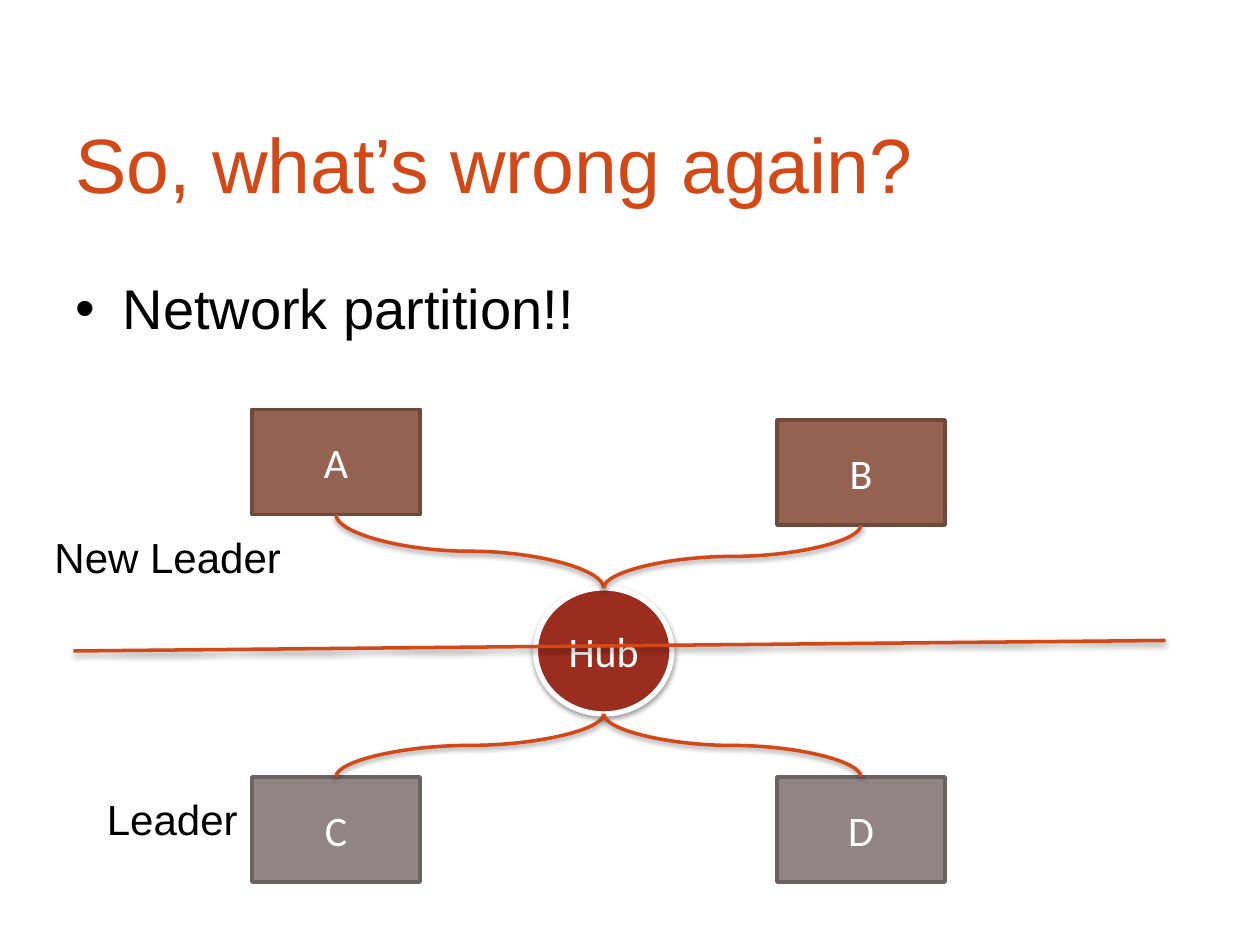
from dataclasses import dataclass

from lxml.etree import SubElement
from pptx import Presentation
from pptx.dml.color import RGBColor
from pptx.enum.shapes import MSO_CONNECTOR, MSO_SHAPE
from pptx.enum.text import MSO_ANCHOR, MSO_AUTO_SIZE, PP_ALIGN
from pptx.oxml.ns import qn
from pptx.util import Emu, Pt

EMU_PER_PX = 9525  # 96 px to the inch


def px(length):
    return Emu(round(length * EMU_PER_PX))


@dataclass(frozen=True)
class Theme:
    accent: str = "D34817"
    ink: str = "000000"
    paper: str = "FFFFFF"
    upper_node: tuple = ("956251", "6E493C")
    lower_node: tuple = ("918485", "6B6262")
    hub: tuple = ("9B2D1F", "FFFFFF")
    text_font: str = "Arial"
    node_font: str = "Calibri"
    title_size: int = 44
    body_size: int = 32
    label_size: int = 24
    line_width: int = 2
    hub_line_width: int = 3


class SlideBuilder:
    def __init__(self, slide, theme):
        self.slide = slide
        self.theme = theme

    def style_font(self, paragraph, size, color, name):
        font = paragraph.font
        font.size, font.name = Pt(size), name
        font.color.rgb = RGBColor.from_string(color)

    def add_shadow(self, effects):
        shadow = SubElement(effects, qn("a:outerShdw"), blurRad="40000", dist="20000",
                            dir="5400000", rotWithShape="0")
        color = SubElement(shadow, qn("a:srgbClr"), val=self.theme.ink)
        SubElement(color, qn("a:alpha"), val="38000")

    def title(self, text, left, top, width, height):
        shape = self.slide.shapes.title
        shape.left, shape.top, shape.width, shape.height = map(px, (left, top, width, height))
        frame = shape.text_frame
        frame.text = text
        frame.vertical_anchor = MSO_ANCHOR.MIDDLE
        paragraph = frame.paragraphs[0]
        paragraph.alignment = PP_ALIGN.LEFT
        self.style_font(paragraph, self.theme.title_size, self.theme.accent, self.theme.text_font)

    def text_box(self, text, left, top, width, height, size):
        shape = self.slide.shapes.add_textbox(*map(px, (left, top, width, height)))
        frame = shape.text_frame
        frame.text = text
        self.style_font(frame.paragraphs[0], size, self.theme.ink, self.theme.text_font)
        return frame

    def bullet(self, text, left, top, width, height):
        frame = self.text_box(text, left, top, width, height, self.theme.body_size)
        frame.word_wrap = True
        paragraph = frame.paragraphs[0]
        paragraph.space_before = Pt(0.2 * self.theme.body_size)
        properties = paragraph._p.get_or_add_pPr()
        properties.set("marL", str(px(36)))
        properties.set("indent", str(px(-36)))
        SubElement(properties, qn("a:buFont"), typeface=self.theme.text_font)
        SubElement(properties, qn("a:buChar"), char="•")

    def label(self, text, left, top, width, height):
        frame = self.text_box(text, left, top, width, height, self.theme.label_size)
        frame.word_wrap = False
        frame.auto_size = MSO_AUTO_SIZE.SHAPE_TO_FIT_TEXT

    def node(self, text, left, top, width, height, colors, kind=MSO_SHAPE.RECTANGLE,
             line_width=None, shadow=False):
        shape = self.slide.shapes.add_shape(kind, *map(px, (left, top, width, height)))
        fill, outline = colors
        shape.fill.solid()
        shape.fill.fore_color.rgb = RGBColor.from_string(fill)
        shape.line.color.rgb = RGBColor.from_string(outline)
        shape.line.width = Pt(line_width or self.theme.line_width)
        shape.shadow.inherit = False
        if shadow:
            self.add_shadow(shape._element.spPr.find(qn("a:effectLst")))
        frame = shape.text_frame
        frame.text = text
        frame.vertical_anchor = MSO_ANCHOR.MIDDLE
        paragraph = frame.paragraphs[0]
        paragraph.alignment = PP_ALIGN.CENTER
        self.style_font(paragraph, self.theme.label_size, self.theme.paper, self.theme.node_font)

    def line(self, start, end, kind=MSO_CONNECTOR.STRAIGHT):
        connector = self.slide.shapes.add_connector(kind, *map(px, (*start, *end)))
        connector.line.color.rgb = RGBColor.from_string(self.theme.accent)
        connector.line.width = Pt(self.theme.line_width)
        self.add_shadow(SubElement(connector._element.spPr, qn("a:effectLst")))
        return connector

    def curve(self, start, end):
        """Left-to-right curve leaving and arriving vertically: a turned S-connector."""
        (x1, y1), (x2, y2) = start, end
        center_x, center_y = (x1 + x2) / 2, (y1 + y2) / 2
        half_width = abs(y2 - y1) / 2
        falls = y2 > y1
        half_height = (x2 - x1) / 2 * (-1 if falls else 1)
        connector = self.line((center_x + half_width, center_y + half_height),
                              (center_x - half_width, center_y - half_height),
                              MSO_CONNECTOR.CURVE)
        frame = connector._element.spPr.find(qn("a:xfrm"))
        frame.set("rot", str((270 if falls else 90) * 60000))


def main():
    theme = Theme()
    presentation = Presentation()
    presentation.slide_width, presentation.slide_height = px(960), px(720)
    builder = SlideBuilder(presentation.slides.add_slide(presentation.slide_layouts[5]), theme)

    # Title and bullet
    builder.title("So, what’s wrong again?", 48, 64, 864, 120)
    builder.bullet("Network partition!!", 48, 204, 864, 459)

    # Network nodes
    node_width, node_height = 128, 80
    left_column, right_column, lower_row = 192, 592, 592
    a_top, b_top = 312, 320
    for name, left, top, colors in (
        ("A", left_column, a_top, theme.upper_node),
        ("D", right_column, lower_row, theme.lower_node),
        ("B", right_column, b_top, theme.upper_node),
        ("C", left_column, lower_row, theme.lower_node),
    ):
        builder.node(name, left, top, node_width, node_height, colors)

    # Hub
    hub_left, hub_top, hub_width, hub_height = 408, 448, 104, 96
    builder.node("Hub", hub_left, hub_top, hub_width, hub_height, theme.hub,
                 MSO_SHAPE.OVAL, theme.hub_line_width, shadow=True)

    # Links between the hub and the nodes
    left_x, right_x = left_column + node_width / 2, right_column + node_width / 2
    hub_x = hub_left + hub_width / 2
    hub_upper, hub_lower = (hub_x, hub_top), (hub_x, hub_top + hub_height)
    builder.curve((left_x, a_top + node_height), hub_upper)
    builder.curve(hub_upper, (right_x, b_top + node_height))
    builder.curve((left_x, lower_row), hub_lower)
    builder.curve(hub_lower, (right_x, lower_row))

    # Partition line and leader labels
    builder.label("Leader", 72, 600, 120, 48)
    builder.line((56, 496), (888, 488))
    builder.label("New Leader", 32, 400, 194, 48)

    presentation.save("out.pptx")


if __name__ == "__main__":
    main()
